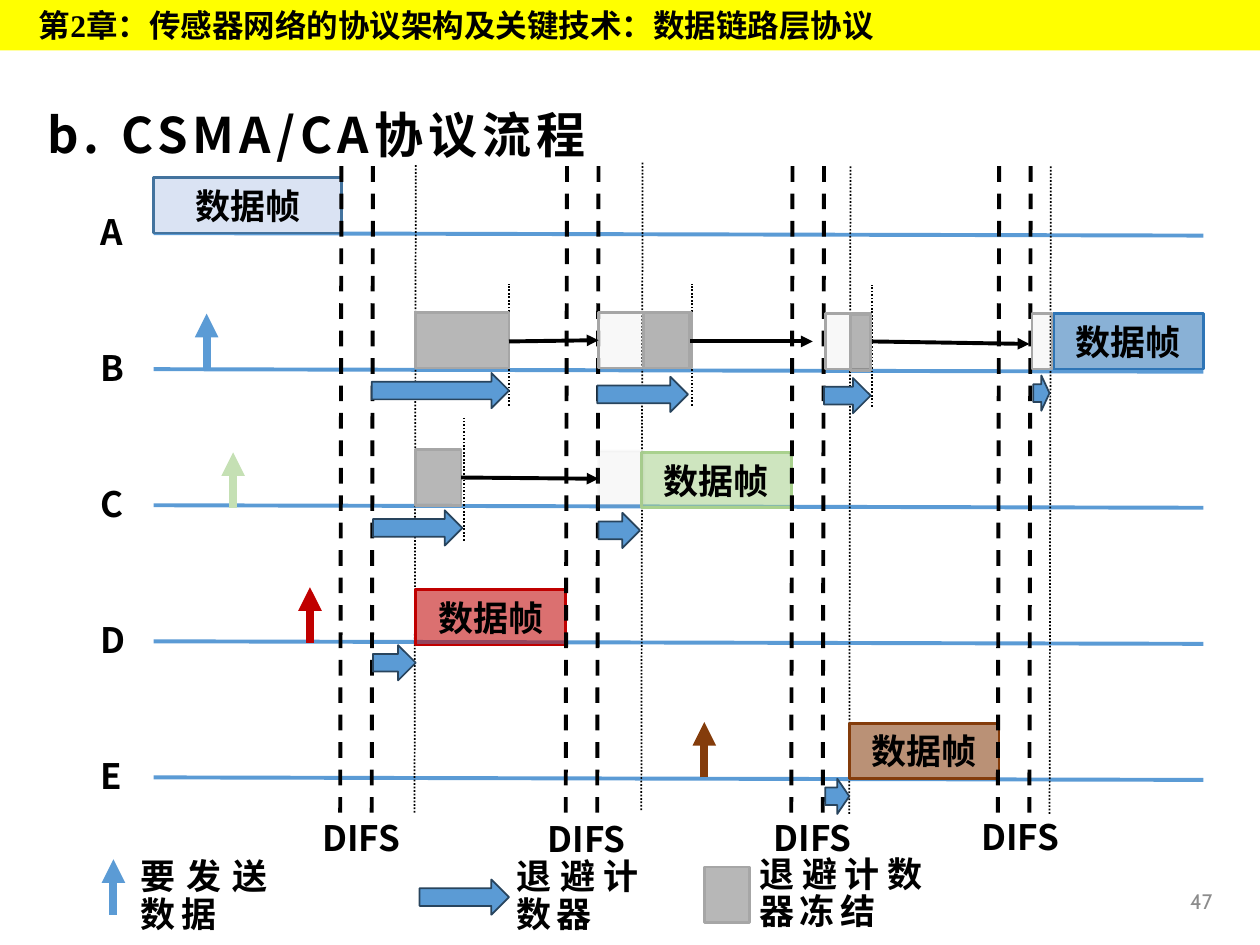
from lxml import etree
from pptx import Presentation
from pptx.dml.color import RGBColor
from pptx.enum.dml import MSO_LINE
from pptx.enum.shapes import MSO_CONNECTOR, MSO_SHAPE
from pptx.enum.text import MSO_ANCHOR, PP_ALIGN
from pptx.oxml.ns import qn
from pptx.util import Cm, Pt

RECT, ARROW = MSO_SHAPE.RECTANGLE, MSO_SHAPE.RIGHT_ARROW
LINE = MSO_CONNECTOR.STRAIGHT
DASH, DOT = MSO_LINE.DASH, MSO_LINE.ROUND_DOT
LEFT, MID, RIGHT, JUST = PP_ALIGN.LEFT, PP_ALIGN.CENTER, PP_ALIGN.RIGHT, PP_ALIGN.JUSTIFY
TOP, CENTRE = MSO_ANCHOR.TOP, MSO_ANCHOR.MIDDLE

BLACK = RGBColor(0, 0, 0)
YELLOW = RGBColor(0xFF, 0xFF, 0)
PALE = RGBColor(0x8C, 0x8C, 0x8C)
BLUE = RGBColor(0x5B, 0x9B, 0xD5)
NAVY = RGBColor(0x28, 0x44, 0x5D)
ICE = RGBColor(0xDA, 0xE3, 0xF3)
STEEL = RGBColor(0x43, 0x73, 0x9E)
DEEP = RGBColor(0x2E, 0x75, 0xB6)
MINT = RGBColor(0xC5, 0xE0, 0xB4)
GREEN = RGBColor(0xA9, 0xD1, 0x8E)
RED = RGBColor(0xC0, 0, 0)
BROWN = RGBColor(0x84, 0x3C, 0x0B)
GREY = RGBColor(0x80, 0x80, 0x80)
EDGE = RGBColor(0xA6, 0xA6, 0xA6)

SANS = "Noto Sans CJK SC"
HEAD = "第2章：传感器网络的协议架构及关键技术：数据链路层协议"
TITLE = "b. CSMA/CA协议流程"
FRAME = "数据帧"

# Places below are in units of 2.54 cm.
STATIONS = "ABCDE"
BASE, PITCH = 1.85, 1.08
BOX_H, ARROW_H = 0.44, 0.28

# left, top, width, fill, opacity, edge
FRAMES = [
    (1.22, 1.41, 1.49, ICE, 100, STEEL),
    (8.36, 2.49, 1.19, DEEP, 56, DEEP),
    (5.09, 3.59, 1.19, GREEN, 56, GREEN),
    (3.3, 4.68, 1.19, RED, 56, RED),
    (6.74, 5.74, 1.19, BROWN, 56, BROWN),
]
# left, top, width, fill opacity, edge opacity
BLOCKS = [
    (3.3, 2.48, 0.74, 56, 100), (3.3, 3.57, 0.36, 56, 100),
    (4.75, 2.48, 0.74, 5, 100), (4.75, 3.58, 0.36, 5, 5),
    (5.11, 2.48, 0.36, 56, 100), (6.55, 2.49, 0.36, 5, 100),
    (6.75, 2.5, 0.16, 56, 100), (8.19, 2.49, 0.16, 5, 100),
    (5.59, 6.88, 0.36, 56, 100),
]
# left, top, width
COUNTS = [
    (2.95, 2.96, 1.09), (4.74, 2.99, 0.72), (6.54, 3, 0.37), (8.2, 2.98, 0.13),
    (2.96, 4.05, 0.71), (4.75, 4.07, 0.33), (2.96, 5.12, 0.34),
    (6.55, 6.18, 0.19), (3.33, 6.98, 0.71),
]
# x, bottom, colour
SENDS = [(1.64, 2.93, BLUE), (1.85, 4.03, MINT), (2.46, 5.1, RED),
         (5.59, 6.17, BROWN), (0.9, 7.26, BLUE)]
# x1, y1, x2, y2
WAITS = [(4.04, 2.71, 4.75, 2.7), (5.48, 2.71, 6.45, 2.71),
         (6.92, 2.71, 8.17, 2.73), (3.66, 3.79, 4.75, 3.8)]
# left dash, right dash, label left, label top
DIFS = [(2.7, 2.95, 2.46, 6.43), (4.49, 4.74, 4.25, 6.44),
        (6.28, 6.53, 6.04, 6.43), (7.92, 8.17, 7.69, 6.42)]
# x, bottom, height, lean
DOTS = [(3.29, 6.45, 5.14, 0.01), (5.09, 6.43, 5.14, 0.01),
        (6.74, 6.46, 5.14, 0.01), (8.33, 6.46, 5.14, 0.01),
        (3.68, 4.29, 0.97, 0), (4.04, 3.22, 0.97, 0),
        (5.49, 3.22, 0.97, 0), (6.92, 3.23, 0.97, 0)]
# left, top, width, text
KEYS = [(1.02, 6.74, 1.24, "要发送数据"), (4, 6.74, 1.21, "退避计数器"),
        (5.93, 6.72, 1.53, "退避计数器冻结")]


def span(*vals):
    return [Cm(v * 2.54) for v in vals]


def fade(fill, pct):
    """Set the opacity of a solid a:solidFill element."""
    if pct < 100:
        etree.SubElement(fill[0], qn("a:alpha")).set("val", str(pct * 1000))


def write(shape, text, size=20, font=SANS, color=BLACK, bold=True, align=LEFT,
          anchor=CENTRE, wrap=True, gap=0, lead=None):
    frame = shape.text_frame
    frame.word_wrap = wrap
    frame.vertical_anchor = anchor
    para = frame.paragraphs[0]
    para.text = text
    para.alignment = align
    if lead:
        para.line_spacing = lead
    face = para.font
    face.size, face.bold, face.name = Pt(size), bold, font
    face.color.rgb = color
    props = para._p.pPr.find(qn("a:defRPr"))
    etree.SubElement(props, qn("a:ea")).set("typeface", SANS)
    if gap:
        props.set("spc", str(gap * 100))


def label(left, top, width, height, text, **style):
    write(shapes.add_textbox(*span(left, top, width, height)), text, **style)


def block(kind, left, top, width, height, fill, edge=None, weight=1.5,
          solid=100, rim=100):
    shape = shapes.add_shape(kind, *span(left, top, width, height))
    shape.shadow.inherit = False
    shape.fill.solid()
    shape.fill.fore_color.rgb = fill
    fade(shape._element.spPr.find(qn("a:solidFill")), solid)
    if edge is None:
        shape.line.fill.background()
    else:
        shape.line.color.rgb = edge
        shape.line.width = Pt(weight)
        fade(shape.line._ln.find(qn("a:solidFill")), rim)
    return shape


def rule(x1, y1, x2, y2, color=BLACK, weight=2.25, dash=None, head=False):
    line = shapes.add_connector(LINE, *span(x1, y1, x2, y2))
    line.line.color.rgb = color
    line.line.width = Pt(weight)
    if dash:
        line.line.dash_style = dash
    if head:
        etree.SubElement(line.line._ln, qn("a:tailEnd")).set("type", "triangle")
    etree.SubElement(line._element.spPr, qn("a:effectLst"))


deck = Presentation()
deck.slide_width, deck.slide_height = span(10, 7.5)
slide = deck.slides.add_slide(deck.slide_layouts[5])
shapes = slide.shapes

title = shapes.title
title.left, title.top, title.width, title.height = span(0.28, 0.75, 9.44, 0.69)
write(title, TITLE, size=28, gap=3, lead=0.9)

block(RECT, 0, 0, 10, 0.4, YELLOW)
label(7.47, 6.95, 2.25, 0.4, "47", size=12, font="Cabin", color=PALE,
      bold=False, align=RIGHT)
label(0.21, 0, 6.89, 0.4, HEAD, size=18, font="Times New Roman", anchor=TOP)

for i, name in enumerate(STATIONS):
    y = BASE + i * PITCH
    rule(9.55, y + 0.02, 1.22, y, BLUE)
    label(0.7, y - 0.37, 0.41, 0.76, name, align=JUST, gap=3, lead=0.9)

for x, y, tall, lean in DOTS:
    rule(x, y, x + lean, y - tall, weight=1, dash=DOT)
for x, y, wide, fill, solid, edge in FRAMES:
    box = block(RECT, x, y, wide, BOX_H, fill, edge, solid=solid)
    write(box, FRAME, align=MID)
for *pair, left, top in DIFS:
    for x in pair:
        rule(x, 6.45, x + 0.01, 1.31, dash=DASH)
    label(left, top, 0.84, 0.44, "DIFS", anchor=TOP, wrap=False)
for x, y, wide, solid, rim in BLOCKS:
    block(RECT, x, y, wide, BOX_H, GREY, EDGE, solid=solid, rim=rim)
for x, y, wide in COUNTS:
    block(ARROW, x, y, wide, ARROW_H, BLUE, NAVY, weight=1)
for x, y, color in SENDS:
    rule(x, y, x, y - BOX_H, color, weight=4.5, head=True)
for ends in WAITS:
    rule(*ends, head=True)
for x, y, wide, text in KEYS:
    label(x, y, wide, 0.76, text, align=JUST, gap=3, lead=0.9)

deck.save("out.pptx")
